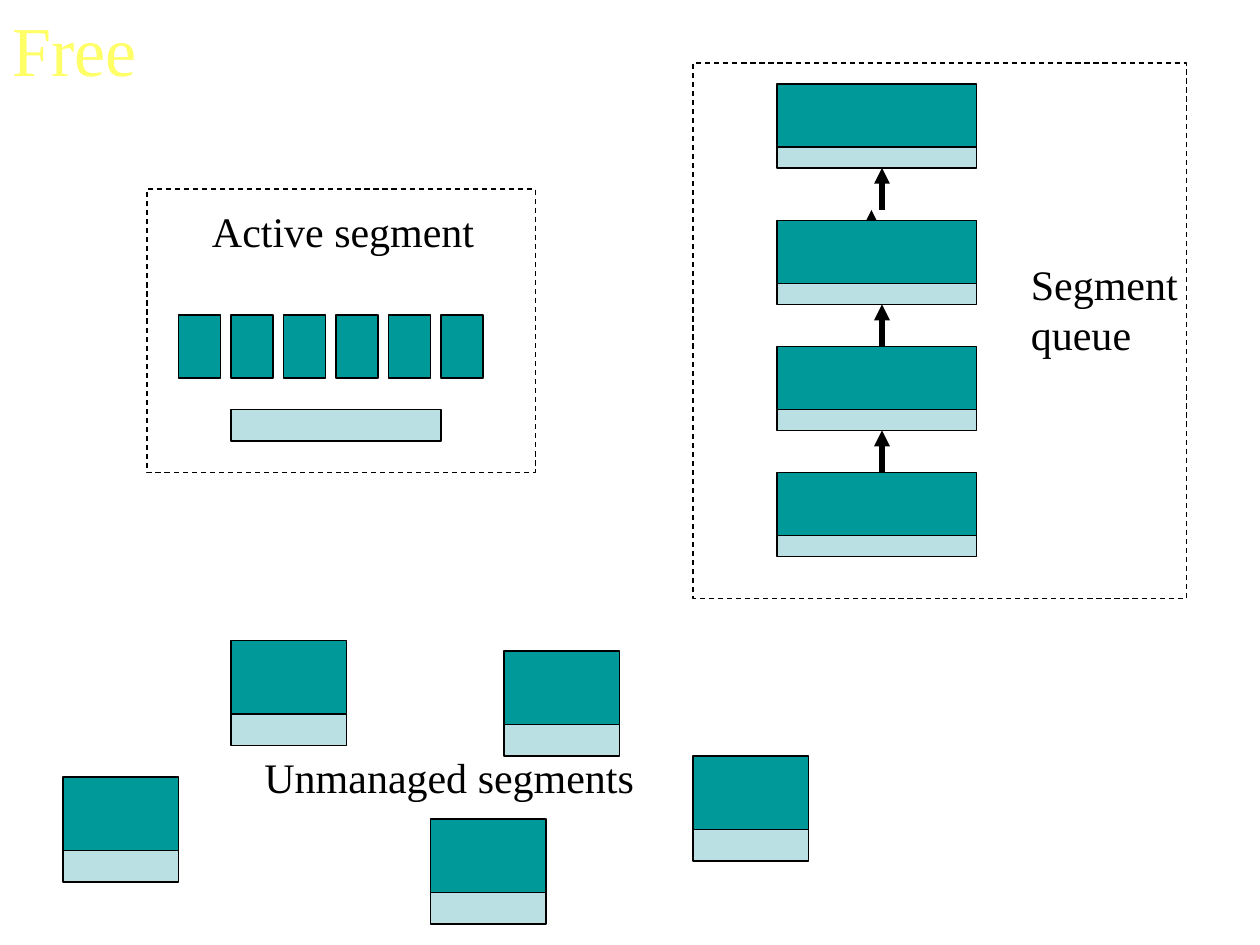
from dataclasses import dataclass
from pptx import Presentation
from pptx.dml.color import RGBColor as Rgb
from pptx.enum.dml import MSO_LINE as Dash
from pptx.enum.shapes import MSO_CONNECTOR as Link, MSO_SHAPE as Form
from pptx.enum.text import MSO_AUTO_SIZE as Fit
from pptx.oxml.ns import qn
from pptx.util import Cm, Pt
from lxml.etree import SubElement as Sub


@dataclass(frozen=True)
class Theme:
    """Colours, type and line sizes of the slide."""
    data: str = "009999"
    meta: str = "BBE0E3"
    ink: str = "000000"
    title: str = "FFFF66"
    font: str = "Times New Roman"
    large: int = 40
    body: int = 24
    thin: float = 0.74
    thick: float = 3


THEME = Theme()
STEP = 2.54 / 12


def grid(*cells):
    """Turn grid cells, twelve to the inch, into lengths."""
    return [Cm(cell * STEP) for cell in cells]


def add_box(slide, area, fill=None):
    """Add a filled box, or a dashed frame when there is no fill."""
    box = slide.shapes.add_shape(Form.RECTANGLE, *grid(*area))
    box.shadow.inherit = False
    box.line.color.rgb = Rgb.from_string(THEME.ink)
    box.line.width = Pt(THEME.thin)
    if fill:
        box.fill.solid()
        box.fill.fore_color.rgb = Rgb.from_string(fill)
    else:
        box.fill.background()
        box.line.dash_style = Dash.DASH


def add_block(slide, left, top, width, body, foot):
    """Add a segment: a data box on top of a metadata strip."""
    add_box(slide, (left, top + body, width, foot), THEME.meta)
    add_box(slide, (left, top, width, body), THEME.data)


def add_arrow(slide, left, start, end, width):
    """Add a vertical arrow."""
    arrow = slide.shapes.add_connector(
        Link.STRAIGHT, *grid(left, start, left, end))
    arrow.line.color.rgb = Rgb.from_string(THEME.ink)
    arrow.line.width = Pt(width)
    Sub(arrow.get_or_add_ln(), qn("a:tailEnd"), type="triangle")
    Sub(arrow.element.spPr, qn("a:effectLst"))


def add_label(slide, area, lines, size, color, wrap=False):
    """Add a text box with one paragraph for each line."""
    frame = slide.shapes.add_textbox(*grid(*area)).text_frame
    frame.word_wrap = wrap
    frame.auto_size = Fit.SHAPE_TO_FIT_TEXT
    for i, line in enumerate(lines):
        para = frame.add_paragraph() if i else frame.paragraphs[0]
        run = para.add_run()
        run.text = line
        run.font.name = THEME.font
        run.font.size = Pt(size)
        run.font.color.rgb = Rgb.from_string(color)


def add_active(slide):
    """Add the active segment with its pages and index."""
    add_box(slide, (14, 18, 37, 27))
    for i in range(6):
        add_box(slide, (17 + 5 * i, 30, 4, 6), THEME.data)
    add_box(slide, (22, 39, 20, 3), THEME.meta)
    add_label(slide, (19, 19, 27.5, 6), ["Active segment"],
              THEME.body, THEME.ink)


def add_queue(slide):
    """Add the segment queue with its arrows."""
    add_box(slide, (66, 6, 47, 51))
    add_arrow(slide, 83, 23, 20, THEME.thin)
    for top in (8, 21, 33, 45):
        add_block(slide, 74, top, 19, 6, 2)
    for start in (20, 33, 45):
        add_arrow(slide, 84, start, start - 4, THEME.thick)
    add_label(slide, (97, 24, 16.8, 10.8), ["Segment", "queue"],
              THEME.body, THEME.ink)


def add_loose(slide):
    """Add the unmanaged segments."""
    for left, top in ((6, 74), (22, 61), (48, 62), (66, 72), (41, 78)):
        add_block(slide, left, top, 11, 7, 3)
    add_label(slide, (24, 71, 38, 6), ["Unmanaged segments"],
              THEME.body, THEME.ink)


def main():
    """Build the slide and save it."""
    deck = Presentation()
    deck.slide_width, deck.slide_height = grid(120, 90)
    slide = deck.slides.add_slide(deck.slide_layouts[6])
    add_active(slide)
    add_queue(slide)
    add_loose(slide)
    add_label(slide, (0, 0, 22.2, 9.24), ["Free"],
              THEME.large, THEME.title, wrap=True)
    deck.save("out.pptx")


main()
